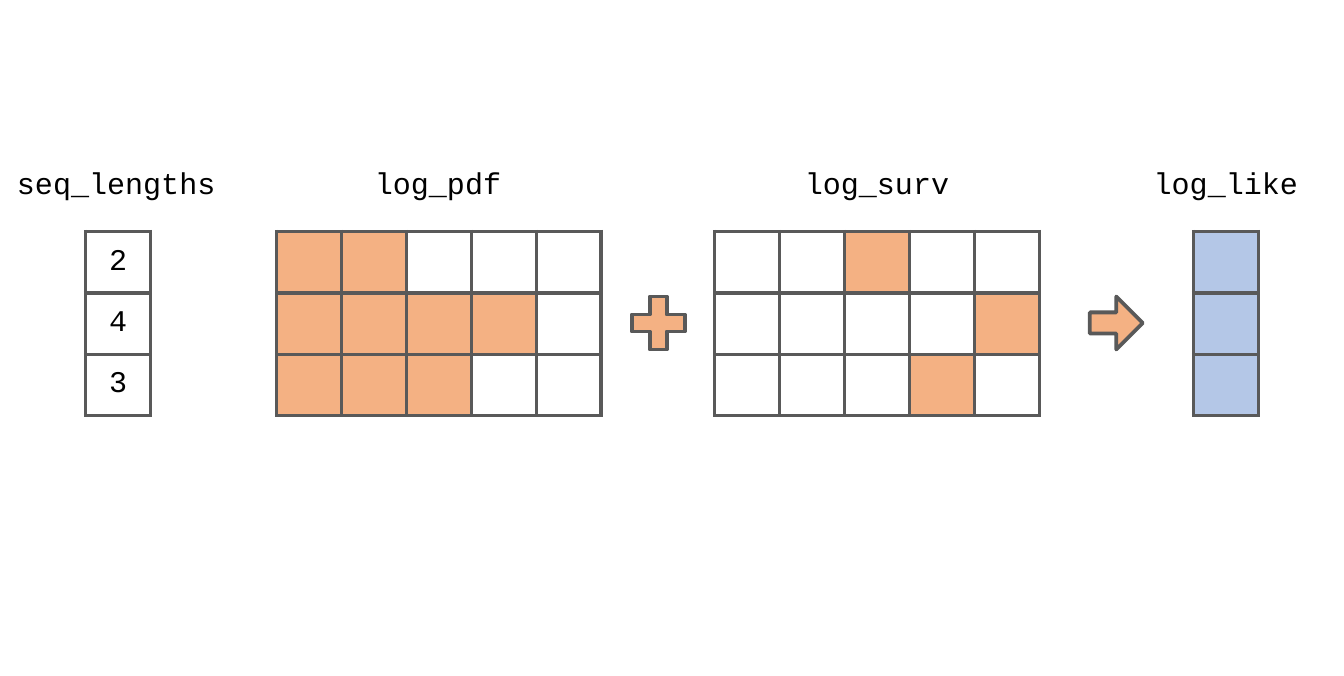
"""Build a slide showing how sequence lengths select log-likelihood terms."""

from dataclasses import dataclass

from lxml import etree
from pptx import Presentation
from pptx.dml.color import RGBColor
from pptx.enum.shapes import MSO_SHAPE
from pptx.enum.text import MSO_ANCHOR, MSO_AUTO_SIZE, PP_ALIGN
from pptx.oxml.ns import qn
from pptx.slide import Slide
from pptx.table import _Cell
from pptx.text.text import TextFrame
from pptx.util import Pt

LEFT, CENTER = PP_ALIGN.LEFT, PP_ALIGN.CENTER
MIDDLE = MSO_ANCHOR.MIDDLE
FIT_SHAPE = MSO_AUTO_SIZE.SHAPE_TO_FIT_TEXT
PLUS, RIGHT_ARROW = MSO_SHAPE.CROSS, MSO_SHAPE.RIGHT_ARROW

BLACK = RGBColor(0x00, 0x00, 0x00)
GRAY = RGBColor(0x59, 0x59, 0x59)
ORANGE = RGBColor(0xF4, 0xB1, 0x83)
BLUE = RGBColor(0xB4, 0xC7, 0xE7)

FONT = "Courier New"
BLANK_LAYOUT = 6
SLIDE_WIDTH, SLIDE_HEIGHT = 1073.52, 540
CELL_WIDTH, CELL_HEIGHT = 51.84, 48.96
GRID_TOP, LABEL_TOP, LABEL_HEIGHT = 185.04, 128.16, 36.35
SYMBOL_TOP, SYMBOL_SIZE = 236.88, 42.3
LINE_WIDTH = 3
BORDER_TAGS = ("a:lnL", "a:lnR", "a:lnT", "a:lnB")

LENGTHS = (2, 4, 3)
STEPS = 5


@dataclass(frozen=True)
class Grid:
    """A labelled grid with its filled cells and optional cell texts."""

    label: str
    label_left: float
    label_width: float
    left: float
    columns: int
    filled: frozenset[tuple[int, int]] = frozenset()
    color: RGBColor = ORANGE
    texts: tuple[str, ...] = ()


@dataclass(frozen=True)
class Symbol:
    """An operator drawn between two grids."""

    kind: MSO_SHAPE
    left: float
    adjustments: tuple[float, ...]


GRIDS = (
    Grid("seq_lengths", 6.48, 175.68, 68.4, 1, texts=tuple(map(str, LENGTHS))),
    Grid("log_pdf", 292.32, 115.92, 221.04, STEPS,
         frozenset((row, column) for row, length in enumerate(LENGTHS) for column in range(length))),
    Grid("log_surv", 635.76, 130.32, 570.96, STEPS, frozenset(enumerate(LENGTHS))),
    Grid("log_like", 914.4, 130.32, 953.28, 1,
         frozenset((row, 0) for row in range(len(LENGTHS))), BLUE),
)

SYMBOLS = (
    Symbol(PLUS, 504.72, (0.34,)),
    Symbol(RIGHT_ARROW, 870.48, (0.4, 0.5)),
)


def write_text(frame: TextFrame, text: str, *, size: float = 24,
               color: RGBColor = BLACK, alignment: PP_ALIGN = LEFT) -> None:
    """Write one formatted paragraph into a text frame."""
    paragraph = frame.paragraphs[0]
    paragraph.alignment = alignment
    run = paragraph.add_run()
    run.text = text
    run.font.name = FONT
    run.font.size = Pt(size)
    run.font.color.rgb = color


def add_borders(cell: _Cell) -> None:
    """Draw a solid line on each side of a cell."""
    properties = cell._tc.get_or_add_tcPr()
    for tag in BORDER_TAGS:
        line = etree.SubElement(properties, qn(tag), w=str(Pt(LINE_WIDTH)))
        fill = etree.SubElement(line, qn("a:solidFill"))
        etree.SubElement(fill, qn("a:srgbClr"), val=str(GRAY))


def format_cell(cell: _Cell, color: RGBColor | None, text: str) -> None:
    """Set the borders, fill and text of a cell."""
    add_borders(cell)
    if color is None:
        cell.fill.background()
    else:
        cell.fill.solid()
        cell.fill.fore_color.rgb = color
    if text:
        cell.vertical_anchor = MIDDLE
        cell.margin_left = cell.margin_right = Pt(12)
        cell.margin_top = cell.margin_bottom = Pt(6)
        write_text(cell.text_frame, text, alignment=CENTER)


def add_label(slide: Slide, grid: Grid) -> None:
    """Add the name above a grid."""
    box = slide.shapes.add_textbox(
        Pt(grid.label_left), Pt(LABEL_TOP), Pt(grid.label_width), Pt(LABEL_HEIGHT))
    box.text_frame.word_wrap = False
    box.text_frame.auto_size = FIT_SHAPE
    write_text(box.text_frame, grid.label)


def add_grid(slide: Slide, grid: Grid) -> None:
    """Add a grid as a table."""
    rows = len(LENGTHS)
    table = slide.shapes.add_table(
        rows, grid.columns, Pt(grid.left), Pt(GRID_TOP),
        Pt(CELL_WIDTH * grid.columns), Pt(CELL_HEIGHT * rows)).table
    table.first_row = table.horz_banding = False
    for column in table.columns:
        column.width = Pt(CELL_WIDTH)
    for row_index, row in enumerate(table.rows):
        row.height = Pt(CELL_HEIGHT)
        text = grid.texts[row_index] if grid.texts else ""
        for column_index, cell in enumerate(row.cells):
            color = grid.color if (row_index, column_index) in grid.filled else None
            format_cell(cell, color, text)


def add_symbol(slide: Slide, symbol: Symbol) -> None:
    """Add an operator shape."""
    shape = slide.shapes.add_shape(
        symbol.kind, Pt(symbol.left), Pt(SYMBOL_TOP), Pt(SYMBOL_SIZE), Pt(SYMBOL_SIZE))
    for index, value in enumerate(symbol.adjustments):
        shape.adjustments[index] = value
    shape.shadow.inherit = False
    shape.fill.solid()
    shape.fill.fore_color.rgb = ORANGE
    shape.line.color.rgb = GRAY
    shape.line.width = Pt(LINE_WIDTH)


def main() -> None:
    """Build and save the presentation."""
    presentation = Presentation()
    presentation.slide_width = Pt(SLIDE_WIDTH)
    presentation.slide_height = Pt(SLIDE_HEIGHT)
    slide = presentation.slides.add_slide(presentation.slide_layouts[BLANK_LAYOUT])
    for grid in GRIDS:
        add_label(slide, grid)
        add_grid(slide, grid)
    for symbol in SYMBOLS:
        add_symbol(slide, symbol)
    presentation.save("out.pptx")


if __name__ == "__main__":
    main()
